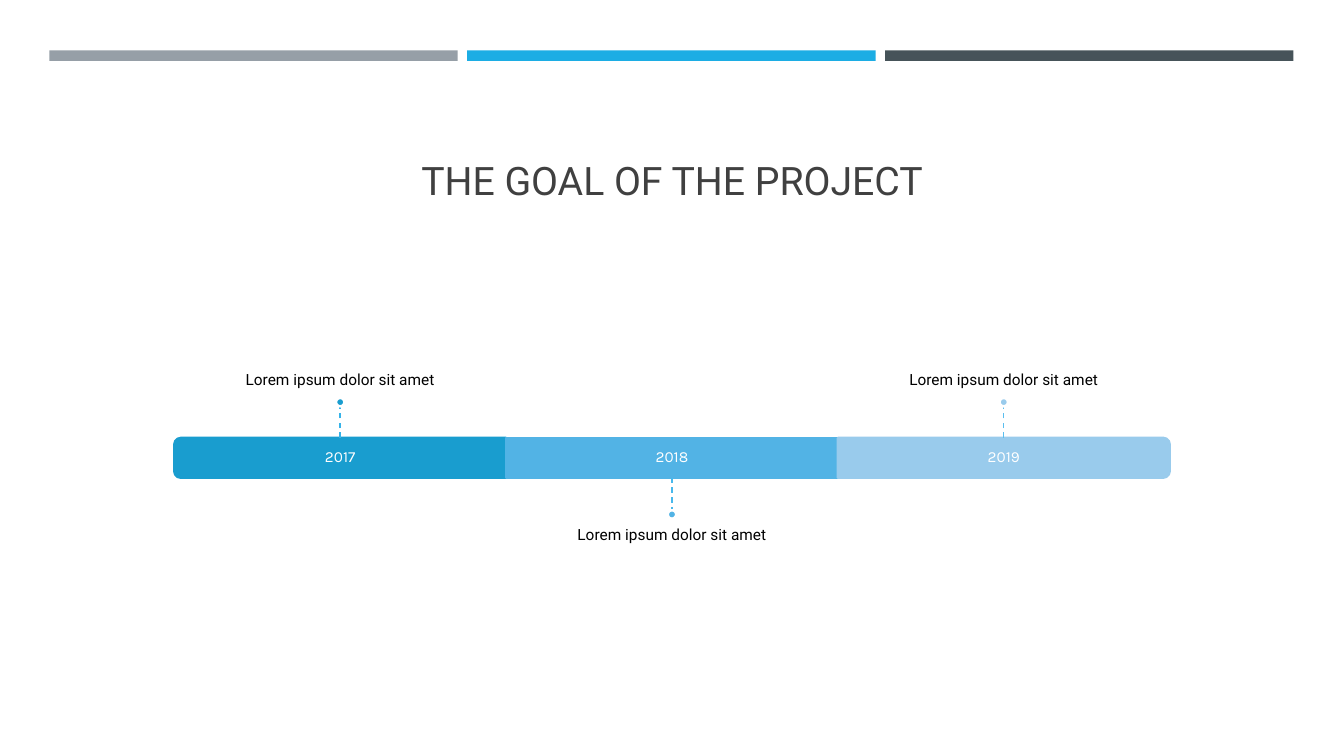
from pptx import Presentation
from pptx.dml.color import RGBColor
from pptx.enum.dml import MSO_LINE
from pptx.enum.shapes import MSO_CONNECTOR, MSO_SHAPE
from pptx.enum.text import MSO_ANCHOR, PP_ALIGN
from pptx.oxml.ns import qn
from pptx.util import Pt
from lxml.etree import SubElement

PX = 9525


def paint(sp, fill, line=None):
    sp.shadow.inherit = False
    sp.fill.solid()
    sp.fill.fore_color.rgb = RGBColor.from_string(fill)
    if line:
        sp.line.color.rgb = RGBColor.from_string(line)
        sp.line.width = Pt(1.75)
    else:
        sp.line.fill.background()


def write(sp, text, size=11, font="Roboto", color="000000",
          anchor=MSO_ANCHOR.MIDDLE, inset=(0, 0, 0, 0), spacing=0.9):
    tf = sp.text_frame
    tf.word_wrap = True
    tf.vertical_anchor = anchor
    tf.margin_left, tf.margin_top, tf.margin_right, tf.margin_bottom = [v * PX for v in inset]
    p = tf.paragraphs[0]
    p.alignment = PP_ALIGN.CENTER
    p.line_spacing = spacing
    r = p.add_run()
    r.text = text
    r.font.size = Pt(size)
    r.font.name = font
    r.font.color.rgb = RGBColor.from_string(color)


prs = Presentation()
prs.slide_width, prs.slide_height = 1280 * PX, 720 * PX
s = prs.slides.add_slide(prs.slide_layouts[5])

for i, color in enumerate(["969FA7", "1CADE4", "465359"]):
    bar = s.shapes.add_shape(MSO_SHAPE.RECTANGLE, (47 + 398 * i) * PX, 48 * PX, 389 * PX, 10 * PX)
    paint(bar, color)

title = s.shapes.title
title.left, title.top, title.width, title.height = 61 * PX, 74 * PX, 1158 * PX, 125 * PX
write(title, "THE GOAL OF THE PROJECT", size=28, color="404040",
      anchor=MSO_ANCHOR.BOTTOM, inset=(10, 5, 10, 5), spacing=1.0)

SEG_W, SEG_H, SEG_TOP = 316, 38, 417
SEG_MID = SEG_TOP + SEG_H // 2
DOT = 8
LABEL_W, LABEL_H = 526, 133
timeline = s.shapes.add_group_shape().shapes

milestones = [
    ("2017", "199DCF", "36B3E9", 270),
    ("2018", "52B3E5", "48B8EC", 0),
    ("2019", "99CBEC", "5ABEEF", 90),
]
for i, (year, color, stem_color, turn) in enumerate(milestones):
    cx = 640 + SEG_W * (i - 1)
    above = turn != 0
    if above:
        kind, w, h = MSO_SHAPE.ROUND_2_SAME_RECTANGLE, SEG_H, SEG_W
        stem_start, stem_end, dot_top, label_top = SEG_TOP, 387, 379, 246
        anchor, inset = MSO_ANCHOR.BOTTOM, (0, 0, 0, 9)
    else:
        kind, w, h = MSO_SHAPE.RECTANGLE, SEG_W, SEG_H
        stem_start, stem_end, dot_top, label_top = SEG_TOP + SEG_H, 486, 486, 493
        anchor, inset = MSO_ANCHOR.TOP, (0, 9, 0, 0)

    seg = timeline.add_shape(kind, (cx - w // 2) * PX, (SEG_MID - h // 2) * PX, w * PX, h * PX)
    seg.rotation = turn
    paint(seg, color, color)

    box = timeline.add_textbox((cx - SEG_W // 2) * PX, SEG_TOP * PX, SEG_W * PX, SEG_H * PX)
    write(box, year, font="Karla", color="FFFFFF", inset=(9, 9, 9, 9))

    label = timeline.add_textbox((cx - LABEL_W // 2) * PX, label_top * PX, LABEL_W * PX, LABEL_H * PX)
    write(label, "Lorem ipsum dolor sit amet", anchor=anchor, inset=inset)

    stem = timeline.add_connector(MSO_CONNECTOR.STRAIGHT, cx * PX, stem_start * PX, cx * PX, stem_end * PX)
    if not above:
        stem.begin_connect(seg, 2)
    stem.line.color.rgb = RGBColor.from_string(stem_color)
    stem.line.width = Pt(1)
    stem.line.dash_style = MSO_LINE.DASH
    SubElement(stem._element.spPr, qn("a:effectLst"))

    dot = timeline.add_shape(MSO_SHAPE.OVAL, (cx - DOT // 2) * PX, dot_top * PX, DOT * PX, DOT * PX)
    paint(dot, color, "FFFFFF")

prs.save("out.pptx")
